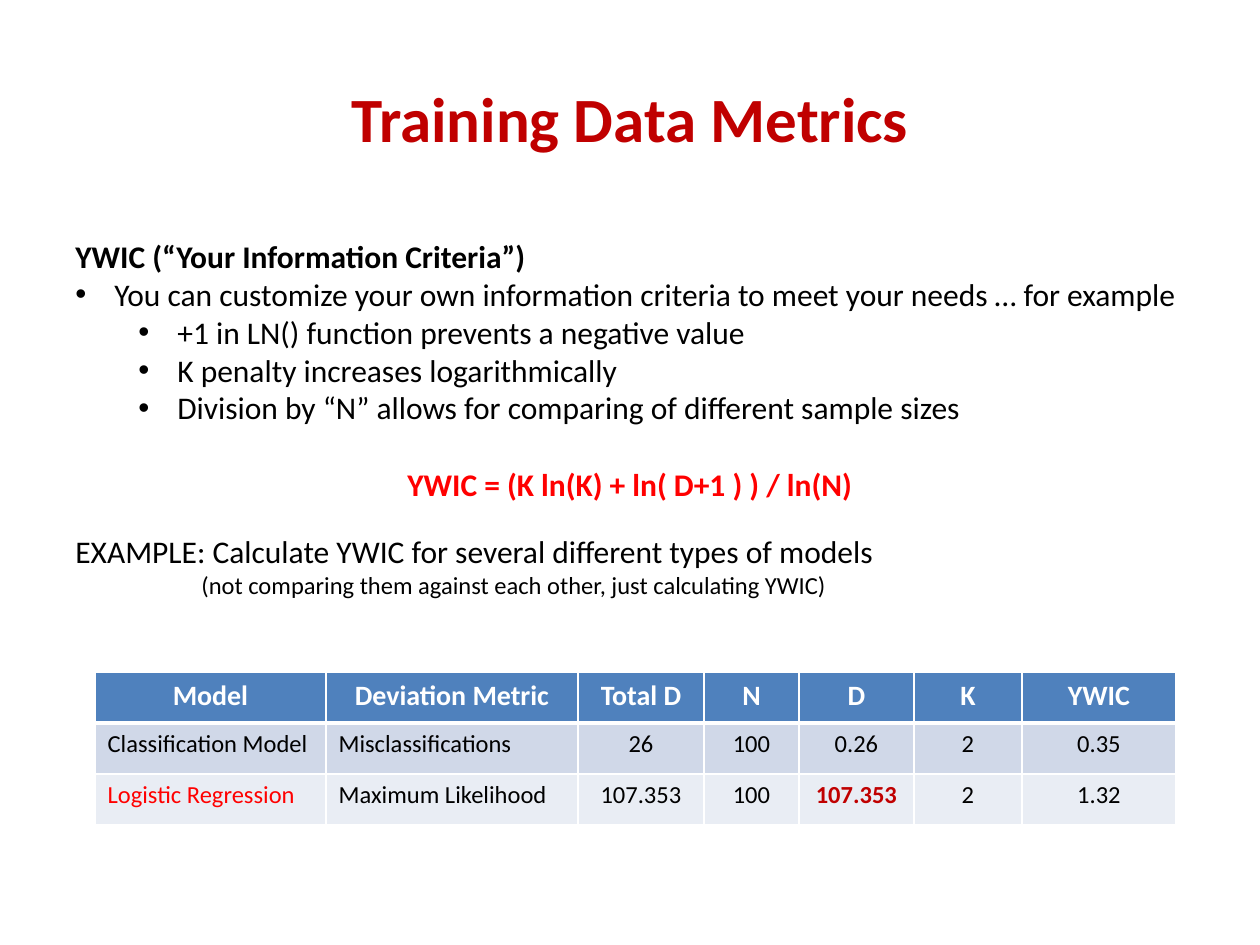
from dataclasses import dataclass

from lxml import etree
from pptx import Presentation, util as u
from pptx.dml.color import RGBColor
from pptx.enum import text
from pptx.oxml.ns import qn

PX_PER_INCH = 126
FONT = "Calibri"
BLACK, WHITE, RED, DARK_RED = "000000", "FFFFFF", "FF0000", "C00000"
HEADER_FILL, BAND_FILLS = "4F81BD", ("D0D8E8", "E9EDF4")
LEFT, CENTER = text.PP_ALIGN.LEFT, text.PP_ALIGN.CENTER
HANGING = 39


@dataclass(frozen=True)
class Line:
    words: str
    size: int = 18
    color: str = BLACK
    bold: bool = False
    align: text.PP_ALIGN = LEFT
    level: int = 0
    indent: int = 0
    bullet: bool = False
    space_before: int = 0


@dataclass(frozen=True)
class Column:
    heading: str
    width: int
    align: text.PP_ALIGN = CENTER


TITLE = Line("Training Data Metrics", 36, DARK_RED, True, CENTER)
BODY = [
    Line("YWIC (“Your Information Criteria”)", bold=True),
    Line("You can customize your own information criteria to meet your needs … for example",
         indent=HANGING, bullet=True),
    *(Line(words, level=1, indent=63 + HANGING, bullet=True) for words in (
        "+1 in LN() function prevents a negative value",
        "K penalty increases logarithmically",
        "Division by “N” allows for comparing of different sample sizes")),
    Line("YWIC = (K ln(K) + ln( D+1 ) ) / ln(N)", color=RED, bold=True, align=CENTER,
         space_before=22),
    Line("EXAMPLE: Calculate YWIC for several different types of models", space_before=17),
    Line("(not comparing them against each other, just calculating YWIC)", 14,
         level=2, indent=126),
]
COLUMNS = [
    Column("Model", 231, LEFT), Column("Deviation Metric", 252, LEFT),
    Column("Total D", 126), Column("N", 95), Column("D", 115),
    Column("K", 108), Column("YWIC", 154),
]
MODELS = [
    ("Classification Model", "Misclassifications", "26", "100", "0.26", "2", "0.35"),
    ("Logistic Regression", "Maximum Likelihood", "107.353", "100", "107.353", "2", "1.32"),
]
# (row, column) of the model table: colour, bold
HIGHLIGHTS = {(1, 0): (RED, False), (1, 4): (DARK_RED, True)}


def px(length: int) -> u.Emu:
    return u.Emu(round(length * 914400 / PX_PER_INCH))


def rgb(color: str) -> RGBColor:
    return RGBColor.from_string(color)


def write_line(para, line: Line) -> None:
    para.alignment = line.align
    para.level = line.level
    para.space_before = u.Pt(line.space_before)
    properties = para._p.get_or_add_pPr()
    properties.set("marL", str(px(line.indent)))
    properties.set("indent", str(px(-HANGING if line.bullet else 0)))
    if line.bullet:
        etree.SubElement(properties, qn("a:buFont"), typeface="Arial")
        etree.SubElement(properties, qn("a:buChar"), char="•")
    span = para.add_run()
    span.text = line.words
    span.font.name = FONT
    span.font.size = u.Pt(line.size)
    span.font.bold = line.bold
    span.font.color.rgb = rgb(line.color)


def add_text(page, bounds: tuple[int, int, int, int], lines: list[Line],
             anchor: text.MSO_ANCHOR = text.MSO_ANCHOR.TOP) -> None:
    frame = page.shapes.add_textbox(*map(px, bounds)).text_frame
    frame.word_wrap = True
    frame.vertical_anchor = anchor
    for index, line in enumerate(lines):
        write_line(frame.paragraphs[0] if index == 0 else frame.add_paragraph(), line)


def style_cell(cell, fill: str, top: int, bottom: int) -> None:
    """Fill the cell and give it white borders; top and bottom are points."""
    properties = cell._tc.get_or_add_tcPr()
    for side, width in (("L", 1), ("R", 1), ("T", top), ("B", bottom)):
        border = etree.SubElement(properties, qn(f"a:ln{side}"), w=str(u.Pt(width)))
        paint = etree.SubElement(border, qn("a:solidFill"))
        etree.SubElement(paint, qn("a:srgbClr"), val=WHITE)
    cell.fill.solid()
    cell.fill.fore_color.rgb = rgb(fill)


def add_model_table(page, left: int, top: int, row_height: int) -> None:
    row_count = len(MODELS) + 1
    width = sum(column.width for column in COLUMNS)
    table = page.shapes.add_table(row_count, len(COLUMNS), px(left), px(top),
                                  px(width), px(row_height * row_count)).table
    for row in table.rows:
        row.height = px(row_height)
    for c, column in enumerate(COLUMNS):
        table.columns[c].width = px(column.width)
        header = table.cell(0, c)
        style_cell(header, HEADER_FILL, 1, 3)
        write_line(header.text_frame.paragraphs[0],
                   Line(column.heading, 16, WHITE, True, CENTER))
        for r, model in enumerate(MODELS):
            cell = table.cell(r + 1, c)
            style_cell(cell, BAND_FILLS[r % 2], 3 if r == 0 else 1, 1)
            color, bold = HIGHLIGHTS.get((r, c), (BLACK, False))
            write_line(cell.text_frame.paragraphs[0],
                       Line(model[c], 14, color, bold, column.align))


def main() -> None:
    deck = Presentation()
    deck.slide_width, deck.slide_height = px(1260), px(945)
    page = deck.slides.add_slide(deck.slide_layouts[6])
    add_text(page, (63, 38, 1134, 158), [TITLE], text.MSO_ANCHOR.MIDDLE)
    add_text(page, (63, 231, 1134, 378), BODY)
    add_model_table(page, 95, 672, 51)
    deck.save("out.pptx")


if __name__ == "__main__":
    main()
